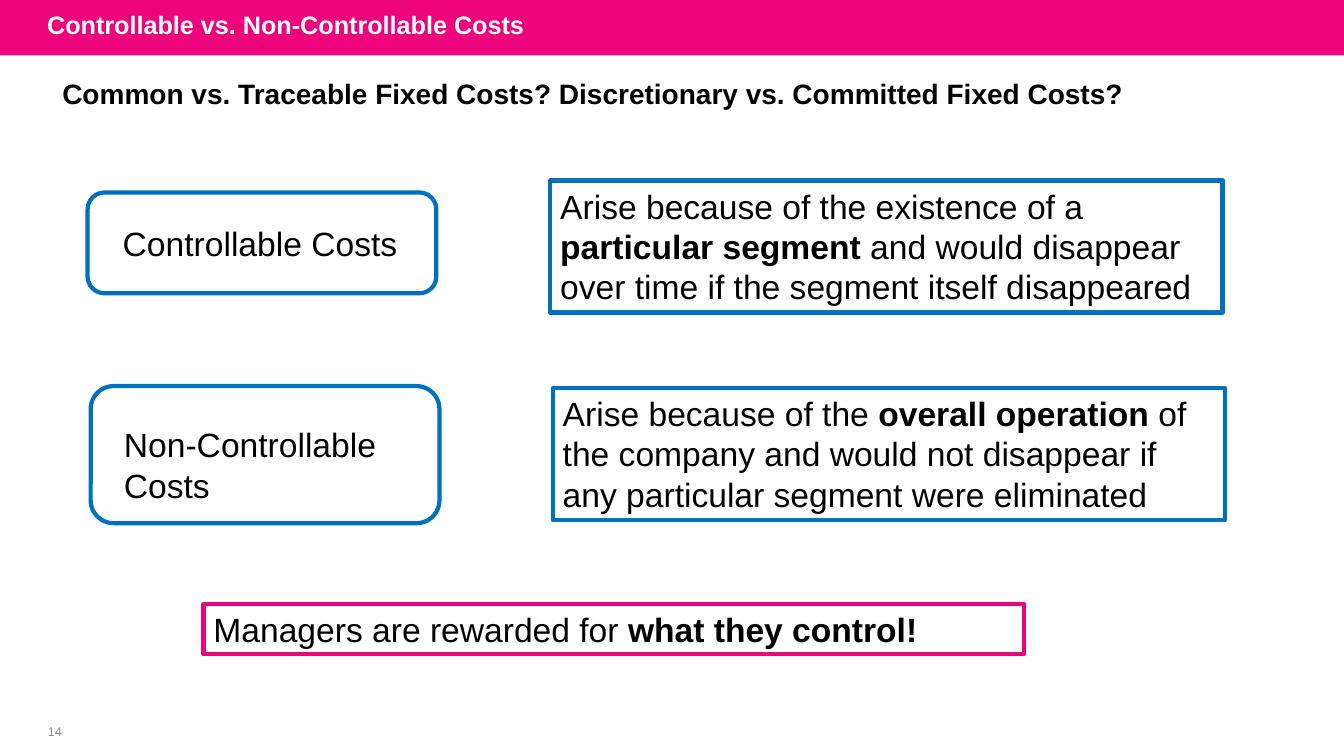
"""Builds the slide on controllable and non-controllable costs."""
from pptx import Presentation
from pptx.dml.color import RGBColor
from pptx.enum.shapes import MSO_SHAPE
from pptx.enum.text import MSO_ANCHOR, PP_ALIGN
from pptx.util import Pt

PINK, BLUE, BLACK, WHITE, GREY = "ED037C", "0070C0", "000000", "FFFFFF", "8C8C8C"
PAGE_WIDTH, PAGE_HEIGHT = 960, 540

TITLE = [[("Controllable vs. Non-Controllable Costs", True)]]
QUESTION = [[("Common vs. Traceable Fixed Costs? Discretionary vs. Committed Fixed Costs?", True)]]
PAGE_NUMBER = [[("14", False)]]

OUTLINES = [
    ((62.6, 137.5, 249.1, 72), BLUE, MSO_SHAPE.ROUNDED_RECTANGLE, []),
    ((64.8, 275.8, 249.1, 97.9), BLUE, MSO_SHAPE.ROUNDED_RECTANGLE, []),
    ((393.1, 128.9, 480.2, 94.3), BLUE, MSO_SHAPE.RECTANGLE, [
        [("Arise because of the existence of a", False)],
        [("particular segment ", True), ("and would disappear", False)],
        [("over time if the segment itself disappeared", False)],
    ]),
    ((394.9, 277.2, 480.2, 94.3), BLUE, MSO_SHAPE.RECTANGLE, [
        [("Arise because of the ", False), ("overall operation ", True), ("of", False)],
        [("the company and would not disappear if", False)],
        [("any particular segment were eliminated", False)],
    ]),
    ((145.4, 431.3, 586.1, 36), PINK, MSO_SHAPE.RECTANGLE, [
        [("Managers are rewarded for ", False), ("what they control!", True)],
    ]),
]
LABELS = [
    ((80.6, 155.5, 213.1, 36), "Controllable Costs", False),
    ((81.4, 299.5, 219.6, 65.5), "Non-Controllable Costs", True),
]


def color(value):
    return RGBColor.from_string(value)


def write(shape, lines, size=24, ink=BLACK, anchor=MSO_ANCHOR.TOP, align=PP_ALIGN.LEFT, wrap=True):
    frame = shape.text_frame
    frame.word_wrap = wrap
    frame.vertical_anchor = anchor
    for index, line in enumerate(lines):
        para = frame.add_paragraph() if index else frame.paragraphs[0]
        para.alignment = align
        for text, bold in line:
            span = para.add_run()
            span.text = text
            span.font.name = "Arial"
            span.font.size = Pt(size)
            span.font.bold = bold
            span.font.color.rgb = color(ink)
    return frame


def add_box(page, place, lines, **style):
    return write(page.shapes.add_textbox(*map(Pt, place)), lines, **style)


def add_outline(page, place, stroke, kind, lines):
    shape = page.shapes.add_shape(kind, *map(Pt, place))
    shape.shadow.inherit = False
    shape.fill.background()
    shape.line.color.rgb = color(stroke)
    shape.line.width = Pt(3)
    write(shape, lines)


def main():
    deck = Presentation()
    deck.slide_width, deck.slide_height = Pt(PAGE_WIDTH), Pt(PAGE_HEIGHT)
    page = deck.slides.add_slide(deck.slide_layouts[6])

    banner = page.shapes.add_shape(MSO_SHAPE.RECTANGLE, 0, 0, Pt(PAGE_WIDTH), Pt(39.6))
    banner.shadow.inherit = False
    banner.fill.solid()
    banner.fill.fore_color.rgb = color(PINK)
    banner.line.fill.background()

    add_box(page, (26.6, -2.2, 756, 39.6), TITLE, size=18, ink=WHITE, anchor=MSO_ANCHOR.MIDDLE)
    add_box(page, (37.4, 51.1, 867.6, 31.7), QUESTION, size=20)
    for outline in OUTLINES:
        add_outline(page, *outline)
    for place, text, wrap in LABELS:
        add_box(page, place, [[(text, False)]], wrap=wrap)

    number = add_box(page, (20.5, 514.1, 37.4, 17.3), PAGE_NUMBER, size=9, ink=GREY,
                     anchor=MSO_ANCHOR.MIDDLE, align=PP_ALIGN.CENTER)
    number.margin_left = number.margin_right = number.margin_top = number.margin_bottom = 0
    deck.save("out.pptx")


if __name__ == "__main__":
    main()
